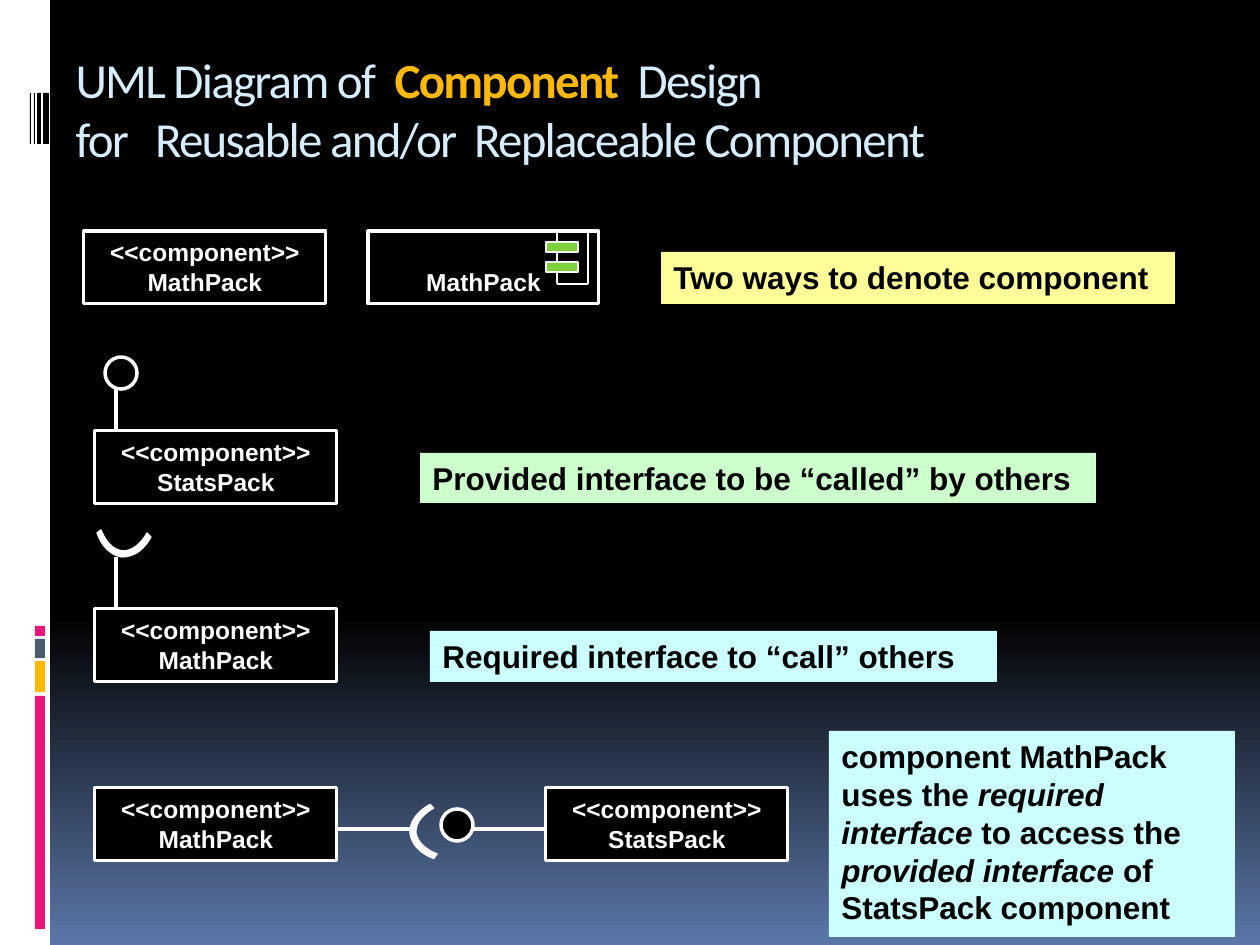
import math
from pptx import Presentation
from pptx import util as u
from pptx.dml import color
from pptx.enum import shapes, text
from pptx.oxml import xmlchemy

PX = 914400 // 126
HEX = {"white": "FFFFFF", "black": "000000", "blue": "5B77A8", "sky": "D6ECFF",
       "gold": "FEB80A", "pink": "EA157A", "slate": "4E5B6F", "green": "7FD13B",
       "lemon": "FFFF99", "mint": "CCFFCC", "aqua": "CCFFFF"}
ARC = [((21, 23), (15, 34), (6, 41), (-3, 41)),
       ((-3, 41), (-13, 40), (-20, 32), (-25, 20)),
       ((-29, 23), (-24, 37), (-14, 46), (-4, 47)),
       ((-4, 47), (8, 47), (18, 40), (25, 27))]


def rgb(name):
    return color.RGBColor.from_string(HEX[name])


class Pen:
    """Draws styled elements on the current slide."""

    def __init__(self, deck):
        self.slide = deck.slides.add_slide(deck.slide_layouts[5])
        self.all = self.slide.shapes

    def back(self):
        fill = self.slide.background.fill
        fill.gradient()
        fill.gradient_angle = 270
        for stop, pos, name in zip(fill.gradient_stops, (0.65, 1), ("black", "blue")):
            stop.position = pos
            stop.color.rgb = rgb(name)

    def font(self, font, size, name, face="Arial", bold=True):
        font.size, font.name, font.bold = u.Pt(size), face, bold
        font.color.rgb = rgb(name)

    def paint(self, shape, fill, width):
        shape.shadow.inherit = False
        shape.fill.solid()
        shape.fill.fore_color.rgb = rgb(fill)
        if width:
            shape.line.color.rgb = rgb("white")
            shape.line.width = u.Pt(width)
        else:
            shape.line.fill.background()
        return shape

    def rect(self, x, y, w, h, fill, width=0, kind=shapes.MSO_SHAPE.RECTANGLE):
        shape = self.all.add_shape(kind, x * PX, y * PX, w * PX, h * PX)
        return self.paint(shape, fill, width)

    def ball(self, x, y):
        self.rect(x, y, 32, 32, "black", 2, shapes.MSO_SHAPE.OVAL)

    def line(self, x1, y1, x2, y2, width=1.75):
        line = self.all.add_connector(shapes.MSO_CONNECTOR.STRAIGHT,
                                      x1 * PX, y1 * PX, x2 * PX, y2 * PX)
        line.line.color.rgb = rgb("white")
        line.line.width = u.Pt(width)
        line._element.spPr.append(xmlchemy.OxmlElement("a:effectLst"))

    def title(self, x, y, w, h, lines):
        box = self.all.title
        box.left, box.top, box.width, box.height = (n * PX for n in (x, y, w, h))
        frame = box.text_frame
        frame.word_wrap = True
        frame.auto_size = text.MSO_AUTO_SIZE.NONE
        frame.vertical_anchor = text.MSO_ANCHOR.MIDDLE
        para = frame.paragraphs[0]
        para.alignment = text.PP_ALIGN.LEFT
        for i, row in enumerate(lines):
            if i:
                para.add_line_break()
            for words, name, bold in row:
                run = para.add_run()
                run.text = words
                self.font(run.font, 28, name, "Calibri", bold)
                run._r.get_or_add_rPr().set("spc", "-100")

    def unit(self, x, y, w, *lines):
        frame = self.rect(x, y, w, 73, "black", 1.75).text_frame
        frame.word_wrap = False
        frame.margin_bottom = frame.margin_top = 8 * PX
        frame.vertical_anchor = text.MSO_ANCHOR.BOTTOM
        frame.text = "\n".join(lines)
        for para in frame.paragraphs:
            para.alignment = text.PP_ALIGN.CENTER
            self.font(para.font, 14, "white")

    def note(self, x, y, w, h, fill, *runs):
        frame = self.rect(x, y, w, h, fill).text_frame
        frame.word_wrap = True
        frame.vertical_anchor = text.MSO_ANCHOR.TOP
        para = frame.paragraphs[0]
        para.alignment = text.PP_ALIGN.LEFT
        self.font(para.font, 18, "black")
        for i, words in enumerate(runs):
            run = para.add_run()
            run.text = words
            if i % 2:
                run.font.italic = True

    def sock(self, x, y, turn):
        cos, sin = math.cos(math.radians(turn)), math.sin(math.radians(turn))
        dots = []
        for curve in ARC:
            for i in range(13):
                t = i / 12
                mix = ((1 - t) ** 3, 3 * t * (1 - t) ** 2, 3 * t * t * (1 - t), t ** 3)
                a, b = (sum(m * p[k] for m, p in zip(mix, curve)) for k in (0, 1))
                dots.append((round((x + a * cos - b * sin) * PX),
                             round((y + a * sin + b * cos) * PX)))
        form = self.all.build_freeform(*dots[0])
        form.add_line_segments(dots[1:], close=True)
        self.paint(form.convert_to_shape(), "white", 0.75)


def main():
    deck = Presentation()
    deck.slide_width, deck.slide_height = 1260 * PX, 945 * PX
    pen = Pen(deck)
    pen.back()

    pen.rect(0, 0, 50, 945, "white")
    for y, h, name in ((696, 233, "pink"), (661, 31, "gold"),
                       (639, 19, "slate"), (626, 10, "pink")):
        pen.rect(35, y, 10, h, name)
    for x, w in ((43, 6), (37, 4), (34, 1), (30, 1)):
        pen.rect(x, 93, w, 51, "black")

    pen.title(63, 38, 1134, 141, [
        [("UML Diagram of  ", "sky", False), ("Component ", "gold", True),
         (" Design", "sky", False)],
        [("for   Reusable and/or  Replaceable Component", "sky", False)]])

    tag = "<<component>>"
    pen.unit(84, 231, 242, tag, "MathPack")
    pen.unit(368, 231, 231, "MathPack")
    for y in (242, 262):
        pen.rect(546, y, 32, 10, "green", 0.75)
    for y in (231, 252, 273):
        pen.line(557, y, 557, y + 11, 0.75)
    for y in (231, 284):
        pen.line(557, y, 588, y, 0.75)
    pen.line(588, 231, 588, 284, 0.75)

    for x, y, name in ((95, 431, "StatsPack"), (95, 609, "MathPack"),
                       (95, 788, "MathPack"), (546, 788, "StatsPack")):
        pen.unit(x, y, 242, tag, name)
    pen.line(116, 389, 116, 431)
    pen.ball(105, 357)
    pen.line(116, 557, 116, 609)
    pen.sock(126, 510, 0)
    pen.line(410, 829, 337, 829)
    pen.line(546, 829, 473, 829)
    pen.ball(441, 809)
    pen.sock(457, 830, 82)

    pen.note(661, 252, 514, 52, "lemon", "Two ways to denote component")
    pen.note(420, 453, 676, 50, "mint", "Provided interface to be “called” by others")
    pen.note(430, 631, 567, 51, "aqua", "Required interface to “call” others")
    pen.note(829, 731, 406, 206, "aqua", "component MathPack uses the ",
             "required interface", " to access the ", "provided interface",
             " of StatsPack component")
    deck.save("out.pptx")


if __name__ == "__main__":
    main()
